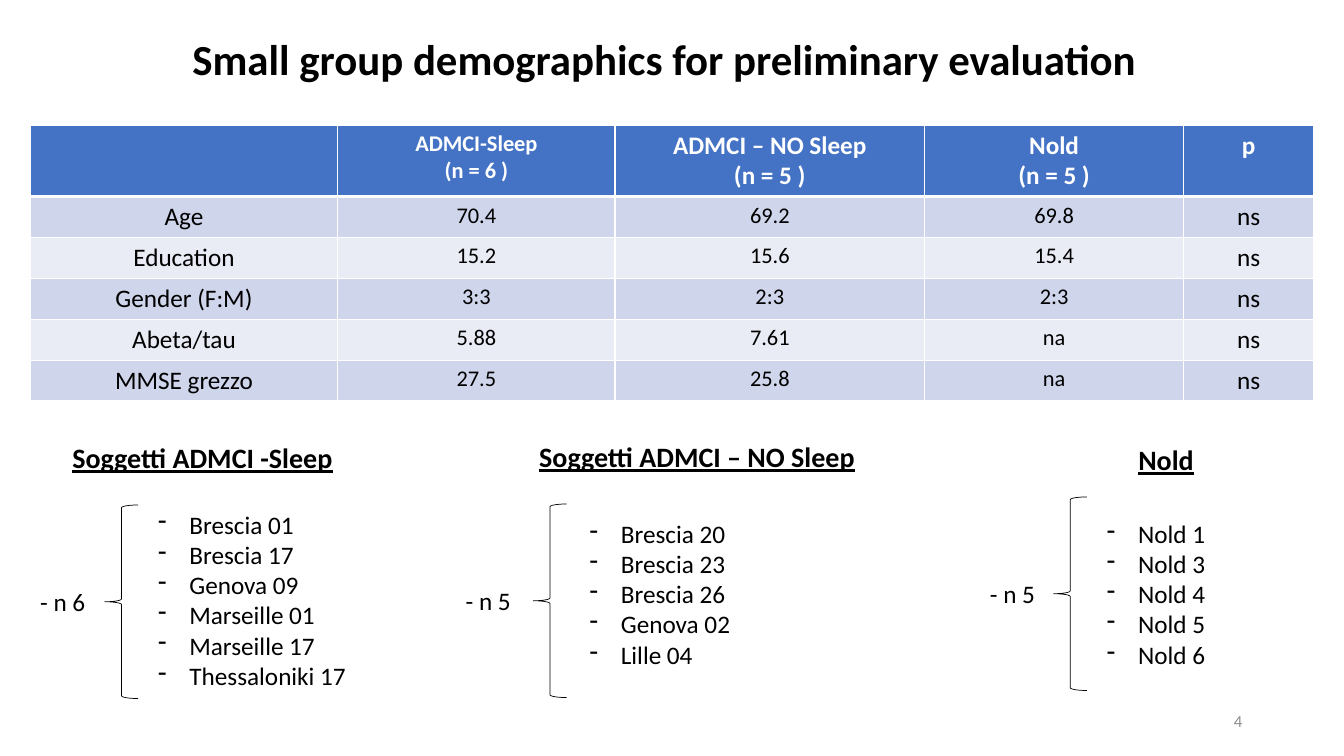
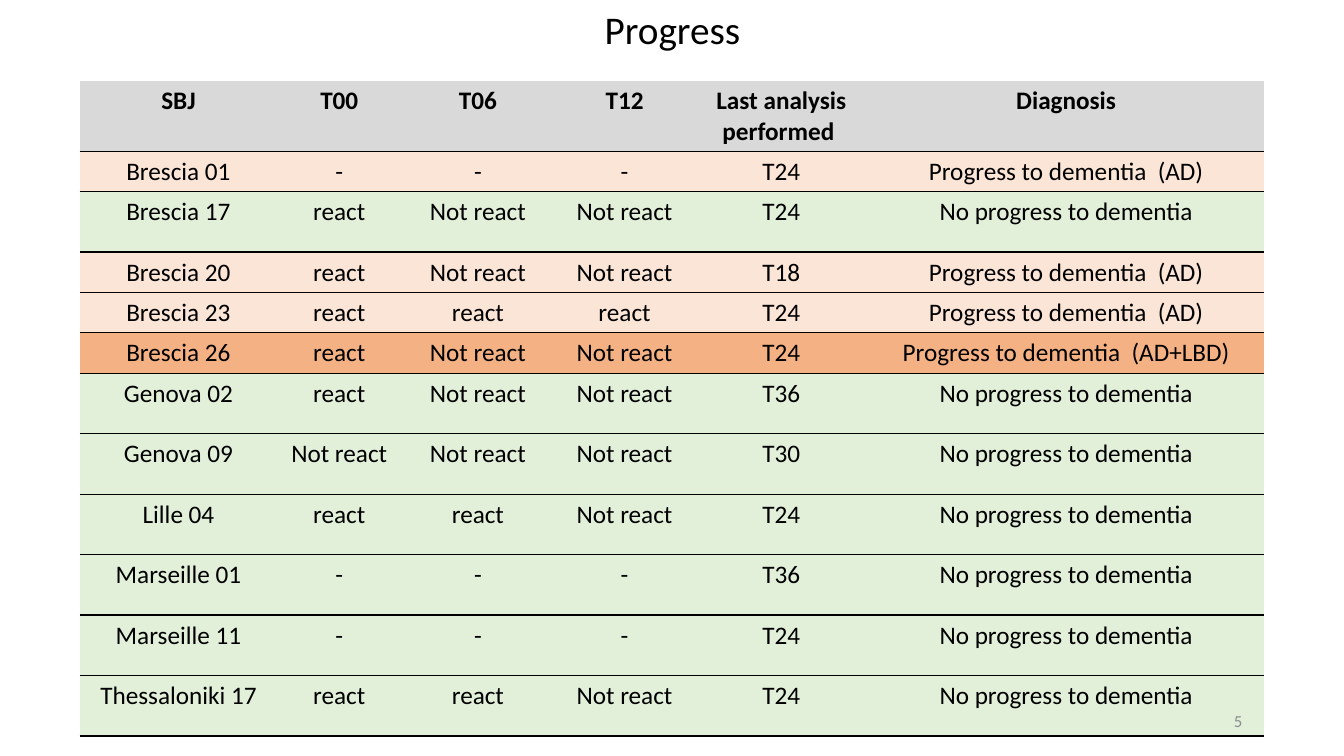
import dataclasses
import typing

import lxml.etree
import pptx
import pptx.dml.color
import pptx.enum.shapes
import pptx.enum.text
import pptx.oxml.ns
import pptx.util

Inches = pptx.util.Inches
qn = pptx.oxml.ns.qn
ALIGN = pptx.enum.text.PP_ALIGN
ANCHOR = pptx.enum.text.MSO_ANCHOR
NO_STYLE_TABLE = "{2D5ABB26-0587-4C30-8999-92F81FD0307C}"


@dataclasses.dataclass(frozen=True)
class Theme:
    font: str = "Calibri"
    text: str = "000000"
    white: str = "FFFFFF"
    muted: str = "8C8C8C"
    blue: str = "4472C4"
    bands: tuple[str, str] = ("CFD5EA", "E9EBF5")
    grey: str = "D9D9D9"
    peach: str = "FBE5D6"
    orange: str = "F4B183"
    green: str = "E2F0D9"
    title_size: float = 30.6
    subtitle_size: float = 28
    heading_size: float = 20
    body_size: float = 18
    small_size: float = 16
    footer_size: float = 12


THEME = Theme()


class Area(typing.NamedTuple):
    left: float
    top: float
    width: float
    height: float

    def lengths(self) -> list[int]:
        return [Inches(value) for value in self]


class CellLook(typing.NamedTuple):
    fill: str
    size: float = THEME.body_size
    color: str = THEME.text
    bold: bool = False
    borders: dict[str, tuple[str, float]] = {}


@dataclasses.dataclass(frozen=True)
class SubjectGroup:
    heading: str
    heading_area: Area
    heading_align: int
    count_left: float
    brace_left: float
    brace_top: float
    list_left: float
    list_top: float
    subjects: list[str]


BRACE_WIDTH, BRACE_HEIGHT = 0.33, 1.92
COUNT_DROP = 0.76
LINE_HEIGHT = 0.3

GROUPS = [
    SubjectGroup("Soggetti ADMCI -Sleep", Area(0.62, 4.32, 2.93, 0.44), ALIGN.LEFT,
                 0.3, 1.04, 5.01, 1.47, 5,
                 ["Brescia 01", "Brescia 17", "Genova 09", "Marseille 01",
                  "Marseille 17", "Thessaloniki 17"]),
    SubjectGroup("Soggetti ADMCI – NO Sleep", Area(5.25, 4.31, 3.46, 0.44), ALIGN.LEFT,
                 4.52, 5.29, 5, 5.75, 5.09,
                 ["Brescia 20", "Brescia 23", "Brescia 26", "Genova 02", "Lille 04"]),
    SubjectGroup("Nold", Area(10.1, 4.34, 2.93, 0.44), ALIGN.CENTER,
                 9.72, 10.45, 4.93, 10.88, 5.09,
                 ["Nold 1", "Nold 3", "Nold 4", "Nold 5", "Nold 6"]),
]

DEMOGRAPHICS = [
    ["", "ADMCI-Sleep\n(n = 6 )", "ADMCI – NO Sleep\n(n = 5 )", "Nold\n(n = 5 )", "p"],
    ["Age", "70.4", "69.2", "69.8", "ns"],
    ["Education", "15.2", "15.6", "15.4", "ns"],
    ["Gender (F:M)", "3:3", "2:3", "2:3", "ns"],
    ["Abeta/tau", "5.88", "7.61", "na", "ns"],
    ["MMSE grezzo", "27.5", "25.8", "na", "ns"],
]

STABLE = "No progress to dementia"
DEMENTIA = "Progress to dementia  (AD)"
MIXED = "Progress to dementia  (AD+LBD)"
DIAGNOSIS_FILL = {STABLE: THEME.green, DEMENTIA: THEME.peach, MIXED: THEME.orange}

PROGRESS = [
    ["SBJ", "T00", "T06", "T12", "Last analysis performed ", "Diagnosis"],
    ["Brescia 01", "-", "-", "-", "T24", DEMENTIA],
    ["Brescia 17", "react", "Not react", "Not react", "T24", STABLE],
    ["Brescia 20", "react", "Not react", "Not react", "T18", DEMENTIA],
    ["Brescia 23", "react", "react", "react", "T24", DEMENTIA],
    ["Brescia 26", "react", "Not react", "Not react", "T24", MIXED],
    ["Genova 02", "react", "Not react", "Not react", "T36", STABLE],
    ["Genova 09", "Not react", "Not react", "Not react", "T30", STABLE],
    ["Lille 04", "react", "react", "Not react", "T24", STABLE],
    ["Marseille 01", "-", "-", "-", "T36", STABLE],
    ["Marseille 11", "-", "-", "-", "T24", STABLE],
    ["Thessaloniki 17", "react", "react", "Not react", "T24", STABLE],
]


# Text helpers
def rgb(color: str) -> pptx.dml.color.RGBColor:
    return pptx.dml.color.RGBColor.from_string(color)


def set_font(font, size: float, color: str = THEME.text, **extra) -> None:
    values = {"name": THEME.font, "size": pptx.util.Pt(size), **extra}
    for name, value in values.items():
        setattr(font, name, value)
    font.color.rgb = rgb(color)


def add_dash(paragraph) -> None:
    properties = paragraph._p.get_or_add_pPr()
    properties.set("marL", str(Inches(0.31)))
    properties.set("indent", str(Inches(-0.31)))
    bullet = lxml.etree.SubElement(properties, qn("a:buChar"))
    bullet.set("char", "-")


def add_text(page, area: Area, lines: list[str], size: float, color: str = THEME.text,
             align: int = ALIGN.LEFT, anchor: int = ANCHOR.TOP, wrap: bool = True,
             spacing: float = 1.0, dashes: bool = False, **extra) -> None:
    box = page.shapes.add_textbox(*area.lengths())
    frame = box.text_frame
    frame.word_wrap = wrap
    frame.vertical_anchor = anchor
    frame.text = "\n".join(lines)
    for paragraph in frame.paragraphs:
        paragraph.alignment = align
        paragraph.line_spacing = spacing
        if dashes:
            add_dash(paragraph)
        for span in paragraph.runs:
            set_font(span.font, size, color, **extra)


def add_page_number(page, number: int) -> None:
    add_text(page, Area(9.42, 6.95, 3, 0.4), [str(number)], THEME.footer_size,
             THEME.muted, ALIGN.RIGHT, ANCHOR.MIDDLE)


# Table helpers
def add_borders(cell, borders: dict[str, tuple[str, float]]) -> None:
    properties = cell._tc.get_or_add_tcPr()
    sides = [side for side in ("L", "R", "T", "B") if side in borders]
    for position, side in enumerate(sides):
        color, width = borders[side]
        line = lxml.etree.Element(qn(f"a:ln{side}"), w=str(pptx.util.Pt(width)))
        fill = lxml.etree.SubElement(line, qn("a:solidFill"))
        lxml.etree.SubElement(fill, qn("a:srgbClr")).set("val", color)
        properties.insert(position, line)


def add_table(page, left: float, top: float, widths: list[float], heights: list[float],
              rows: list[list[str]], look_at: typing.Callable[[int, int], CellLook]) -> None:
    area = Area(left, top, sum(widths), sum(heights))
    holder = page.shapes.add_table(len(rows), len(widths), *area.lengths())
    holder.element.find(f".//{qn('a:tableStyleId')}").text = NO_STYLE_TABLE
    table = holder.table
    table.horz_banding = False
    for column, width in zip(table.columns, widths):
        column.width = Inches(width)
    for row, height in zip(table.rows, heights):
        row.height = Inches(height)
    for row_index, texts in enumerate(rows):
        for column_index, text in enumerate(texts):
            look = look_at(row_index, column_index)
            cell = table.cell(row_index, column_index)
            cell.text = text
            cell.fill.solid()
            cell.fill.fore_color.rgb = rgb(look.fill)
            add_borders(cell, look.borders)
            for paragraph in cell.text_frame.paragraphs:
                paragraph.alignment = ALIGN.CENTER
                set_font(paragraph.font, look.size, look.color, bold=look.bold)
                for span in paragraph.runs:
                    set_font(span.font, look.size, look.color, bold=look.bold)


def demographics_look(row: int, column: int) -> CellLook:
    thin, thick = (THEME.white, 1), (THEME.white, 3)
    borders = {"L": thin, "R": thin, "T": thick if row == 1 else thin,
               "B": thick if row == 0 else thin}
    small_columns = (1,) if row == 0 else (1, 2, 3)
    size = THEME.small_size if column in small_columns else THEME.body_size
    if row == 0:
        return CellLook(THEME.blue, size, THEME.white, True, borders)
    return CellLook(THEME.bands[(row - 1) % 2], size, borders=borders)


def progress_look(row: int, column: int) -> CellLook:
    line = (THEME.text, 1)
    if row == 0:
        return CellLook(THEME.grey, bold=True, borders={"B": line})
    return CellLook(DIAGNOSIS_FILL[PROGRESS[row][-1]], borders={"T": line, "B": line})


# Subject lists with braces
def add_group(page, group: SubjectGroup) -> None:
    add_text(page, group.heading_area, [group.heading], THEME.heading_size,
             align=group.heading_align, bold=True, underline=True)
    count_area = Area(group.count_left, group.brace_top + COUNT_DROP, 0.77, 0.4)
    add_text(page, count_area, [f"- n {len(group.subjects)}"], THEME.body_size)
    brace_area = Area(group.brace_left, group.brace_top, BRACE_WIDTH, BRACE_HEIGHT)
    brace = page.shapes.add_shape(pptx.enum.shapes.MSO_SHAPE.LEFT_BRACE,
                                  *brace_area.lengths())
    brace.shadow.inherit = False
    brace.fill.background()
    brace.line.color.rgb = rgb(THEME.text)
    brace.line.width = pptx.util.Pt(0.5)
    list_height = len(group.subjects) * LINE_HEIGHT + 0.1
    list_area = Area(group.list_left, group.list_top, 2.08, list_height)
    add_text(page, list_area, group.subjects, THEME.body_size, dashes=True)


# Slides
def build_demographics(page) -> None:
    heights = [0.7] + [0.4] * (len(DEMOGRAPHICS) - 1)
    add_table(page, 0.3, 1.24, [3.05, 2.75, 3.07, 2.57, 1.29], heights,
              DEMOGRAPHICS, demographics_look)
    add_text(page, Area(1.81, 0.27, 9.71, 0.69),
             ["Small group demographics for preliminary evaluation"],
             THEME.title_size, anchor=ANCHOR.MIDDLE, spacing=0.9, bold=True)
    for group in GROUPS:
        add_group(page, group)


def build_progress(page) -> None:
    add_text(page, Area(5.89, 0, 1.56, 0.57), ["Progress"], THEME.subtitle_size,
             align=ALIGN.CENTER, wrap=False)
    heights = [0.7] + [0.6 if row[-1] == STABLE else 0.4 for row in PROGRESS[1:]]
    add_table(page, 0.79, 0.8, [1.96, 1.23, 1.52, 1.39, 1.72, 3.93], heights,
              PROGRESS, progress_look)


def main() -> None:
    deck = pptx.Presentation()
    deck.slide_width, deck.slide_height = Inches(13.33), Inches(7.5)
    for number, build in enumerate((build_demographics, build_progress), start=4):
        page = deck.slides.add_slide(deck.slide_layouts[6])
        build(page)
        add_page_number(page, number)
    deck.save("out.pptx")


if __name__ == "__main__":
    main()
